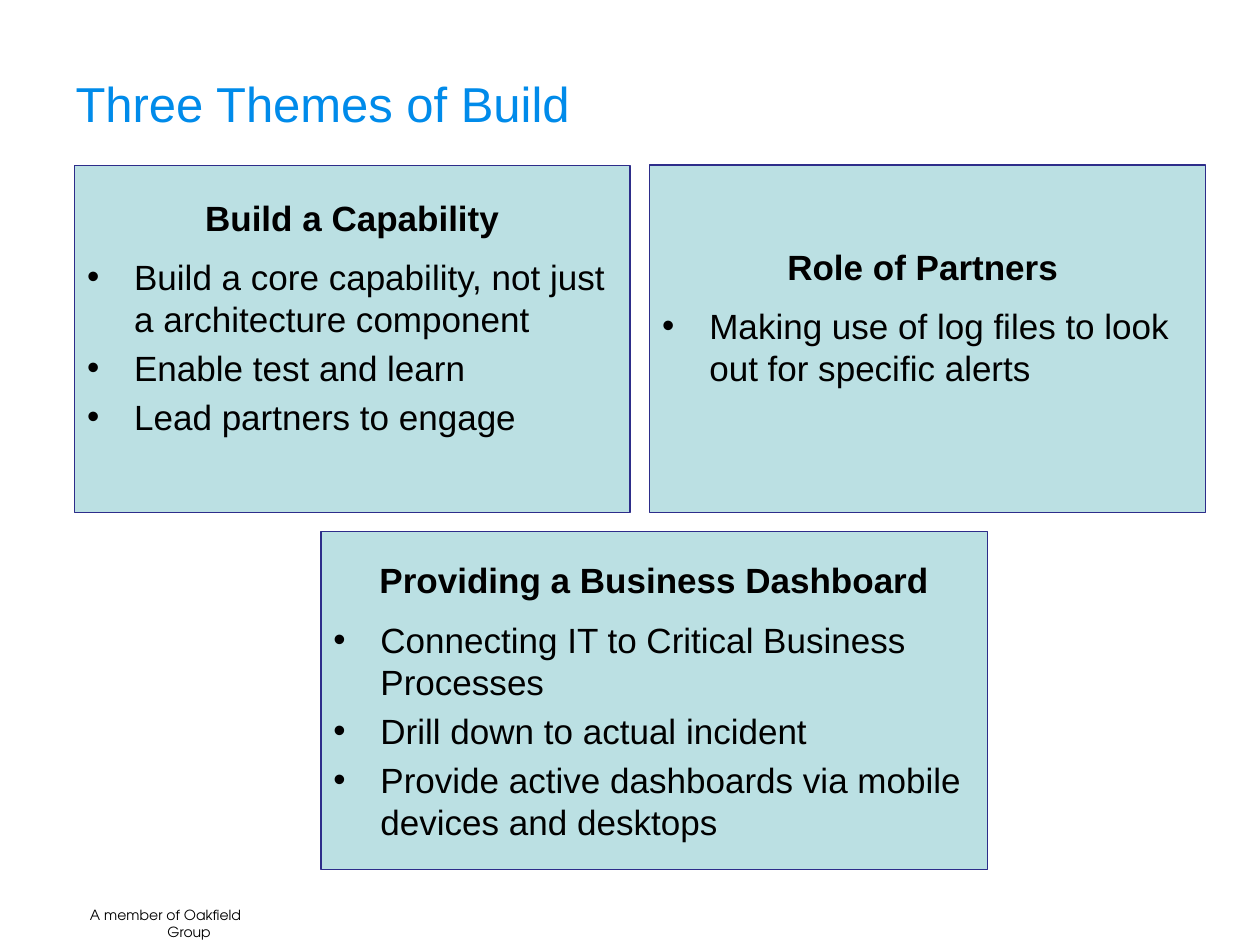
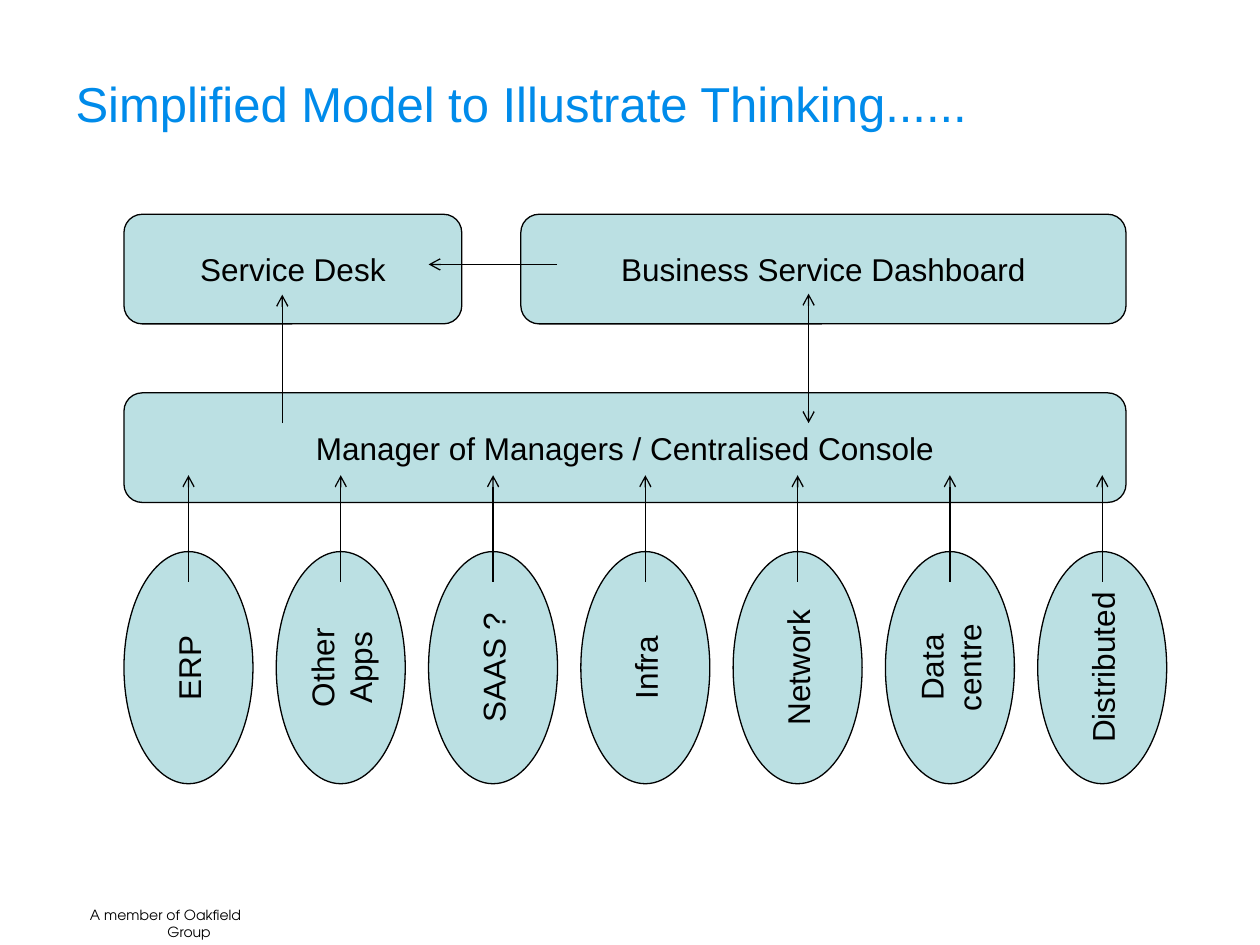
from lxml.etree import SubElement as Sub
from pptx import Presentation
from pptx.dml.color import RGBColor
from pptx.enum.shapes import MSO_CONNECTOR as Link, MSO_SHAPE as Form
from pptx.enum.text import MSO_ANCHOR as Anchor, MSO_AUTO_SIZE as Fit, PP_ALIGN as Align
from pptx.oxml.ns import qn
from pptx.util import Cm, Pt

SKY, TEAL, NAVY, BLACK = "008BEA", "BBE0E3", "2D2D8A", "000000"
FONT, FOOT_FONT = "Arial", "TeX Gyre Adventor"
HANG = Cm(0.95)
BLANK = 0.87  # one spare text line at the foot of a theme box, in cm


def tint(code):
    return RGBColor.from_string(code)


def place(shape, left, top, width, height):
    shape.left, shape.top = Cm(left), Cm(top)
    shape.width, shape.height = Cm(width), Cm(height)


def write(frame, text, first=False, size=18, color=BLACK, font=FONT, bold=False,
          align=Align.CENTER, before=0, after=0, hang=0, bullet=None):
    """Add one formatted paragraph; the first one fills the frame's own."""
    para = frame.paragraphs[0] if first else frame.add_paragraph()
    para.alignment = align
    para.space_before, para.space_after = Pt(before), Pt(after)
    props = para._p.get_or_add_pPr()
    props.set("marL", str(hang))
    props.set("indent", str(-hang))
    if bullet:
        Sub(props, qn("a:buFont"), typeface=font)
        Sub(props, qn("a:buChar"), char=bullet)
    else:
        Sub(props, qn("a:buNone"))
    run = para.add_run()
    run.text = text
    run.font.name, run.font.size, run.font.bold = font, Pt(size), bold
    run.font.color.rgb = tint(color)


def paint(shape, edge):
    shape.shadow.inherit = False
    shape.fill.solid()
    shape.fill.fore_color.rgb = tint(TEAL)
    shape.line.color.rgb = tint(edge)
    shape.line.width = Pt(0.75)
    frame = shape.text_frame
    frame.word_wrap = True
    frame.auto_size = Fit.NONE
    frame.vertical_anchor = Anchor.MIDDLE


def theme(shape, head, points, before=4, spare=0):
    """Fill a box with a bold heading and a bulleted list."""
    paint(shape, NAVY)
    frame = shape.text_frame
    frame.margin_bottom = Cm(0.13 + spare)
    write(frame, head, first=True, size=20, bold=True, before=before, after=6)
    for point in points:
        write(frame, point, size=20, align=Align.LEFT, before=4, hang=HANG, bullet="•")


def node(slide, form, text, left, top, width, height, upright=False):
    """Draw a labelled shape; an upright label reads from bottom to top."""
    shape = slide.shapes.add_shape(form, Cm(left), Cm(top), Cm(width), Cm(height))
    paint(shape, BLACK)
    frame = shape.text_frame
    if upright:
        shape.element.txBody.bodyPr.set("vert", "vert270")
        # Narrow margins let the longest word stay on one line
        frame.margin_left = frame.margin_right = Cm(0.09)
        frame.margin_top = frame.margin_bottom = Cm(0.09)
    write(frame, text, first=True)


def arrow(slide, x1, y1, x2, y2, both=False):
    line = slide.shapes.add_connector(Link.STRAIGHT, Cm(x1), Cm(y1), Cm(x2), Cm(y2))
    line.line.color.rgb = tint(BLACK)
    line.line.width = Pt(0.75)
    edge = line.line._get_or_add_ln()
    if both:
        Sub(edge, qn("a:headEnd"), type="arrow")
    Sub(edge, qn("a:tailEnd"), type="arrow")
    Sub(line.element.spPr, qn("a:effectLst"))


def start(deck, layout, text):
    """Add a slide with the shared title and footer."""
    slide = deck.slides.add_slide(deck.slide_layouts.get_by_name(layout))
    title = slide.shapes.title
    place(title, 1.27, 0.76, 22.86, 2.62)
    title.text_frame.auto_size = Fit.NONE
    title.text_frame.vertical_anchor = Anchor.MIDDLE
    write(title.text_frame, text, first=True, size=28, color=SKY, align=Align.LEFT)
    foot = slide.shapes.add_textbox(Cm(1.32), Cm(18.15), Cm(4.04), Cm(0.58))
    foot.text_frame.word_wrap = True
    write(foot.text_frame, "A member of Oakfield Group", first=True, size=8,
          font=FOOT_FONT, before=1.6, hang=HANG)
    return slide


def themes(deck):
    slide = start(deck, "Title and Content", "Three Themes of Build")
    build = slide.placeholders[1]
    place(build, 1.5, 3.33, 11.2, 7)
    theme(build, "Build a Capability",
          ["Build a core capability, not just a architecture component",
           "Enable test and learn", "Lead partners to engage"], spare=BLANK)
    board = slide.shapes.add_shape(Form.RECTANGLE, Cm(6.47), Cm(10.72), Cm(13.44), Cm(6.81))
    theme(board, "Providing a Business Dashboard",
          ["Connecting IT to Critical Business Processes",
           "Drill down to actual incident",
           "Provide active dashboards via mobile devices and desktops"], before=6)
    role = slide.shapes.add_shape(Form.RECTANGLE, Cm(13.1), Cm(3.33), Cm(11.2), Cm(7))
    theme(role, "Role of Partners ",
          ["Making use of log files to look out for specific alerts"], spare=BLANK)


def model(deck):
    slide = start(deck, "Title Only", "Simplified Model to Illustrate Thinking......")
    left, step, width = 2.5, 3.07, 2.6
    feeds = ["ERP", "Other Apps", "SAAS ?", "Infra", "Network", "Data centre", "Distributed"]
    for i, feed in enumerate(feeds):
        node(slide, Form.OVAL, feed, left + i * step, 11.12, width, 4.68, upright=True)
    for text, x, y, wide in [
            ("Manager of Managers / Centralised Console", left, 7.92, 20.2),
            ("Service Desk", left, 4.32, 6.81),
            ("Business Service Dashboard", 10.5, 4.32, 12.2)]:
        node(slide, Form.ROUNDED_RECTANGLE, text, x, y, wide, 2.21)
    arrow(slide, 11.23, 5.33, 8.64, 5.33)
    arrow(slide, 16.3, 8.53, 16.3, 5.92, both=True)
    arrow(slide, 5.69, 8.53, 5.69, 5.94)
    for i in range(len(feeds)):
        mid = left + width / 2 + i * step
        arrow(slide, mid, 11.73, mid, 9.58)


def main():
    deck = Presentation()
    deck.slide_width, deck.slide_height = Cm(25.4), Cm(19.05)
    themes(deck)
    model(deck)
    deck.save("out.pptx")


if __name__ == "__main__":
    main()
